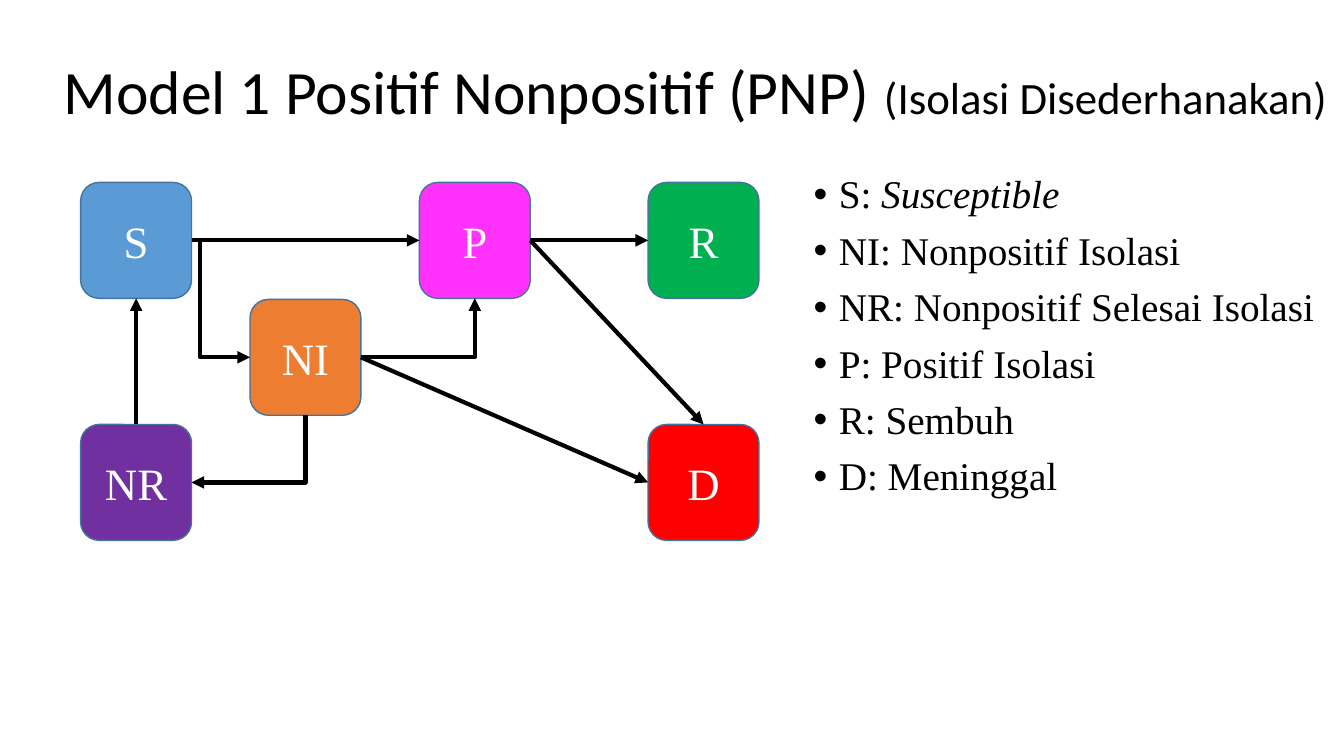
from dataclasses import dataclass

from lxml import etree
from pptx import Presentation
from pptx import util as u
from pptx.dml.color import RGBColor
from pptx.enum import shapes, text
from pptx.oxml import ns

TOP, LEFT, BOTTOM, RIGHT = range(4)
SLIDE_WIDTH, SLIDE_HEIGHT = u.Inches(13.33), u.Inches(7.5)


@dataclass(frozen=True)
class Theme:
    title_font: str = "Calibri"
    body_font: str = "Times New Roman"
    title_size: int = 44
    subtitle_size: int = 32
    state_size: int = 32
    legend_size: int = 28
    ink: str = "000000"
    state_ink: str = "FFFFFF"
    outline: str = "43739E"
    outline_width: float = 1
    arrow_width: float = 3


@dataclass(frozen=True)
class Grid:
    left: float = 0.8
    top: float = 1.81
    column: float = 1.68
    row: float = 1.16
    box_width: float = 1.1
    box_height: float = 1.15


@dataclass(frozen=True)
class State:
    name: str
    column: float
    row: float
    fill: str


@dataclass(frozen=True)
class Flow:
    source: str
    source_side: int
    target: str
    target_side: int
    bend: str = ""


@dataclass(frozen=True)
class Entry:
    name: str
    meaning: str
    italic: bool = False


THEME = Theme()
GRID = Grid()

STATES = (
    State("S", 0, 0, "5B9BD5"),
    State("P", 2, 0, "FF31FA"),
    State("NI", 1, 1, "ED7D31"),
    State("NR", 0, 2.07, "7030A0"),
    State("R", 3.35, 0, "00B050"),
    State("D", 3.35, 2.07, "FF0000"),
)
FLOWS = (
    Flow("S", RIGHT, "P", LEFT),
    Flow("NR", TOP, "S", BOTTOM),
    Flow("P", RIGHT, "R", LEFT),
    Flow("NI", BOTTOM, "NR", RIGHT, "down"),
    Flow("S", RIGHT, "NI", LEFT, "step"),
    Flow("NI", RIGHT, "P", BOTTOM, "across"),
    Flow("P", RIGHT, "D", TOP),
    Flow("NI", RIGHT, "D", LEFT),
)
LEGEND = (
    Entry("S", "Susceptible", True),
    Entry("NI", "Nonpositif Isolasi"),
    Entry("NR", "Nonpositif Selesai Isolasi"),
    Entry("P", "Positif Isolasi"),
    Entry("R", "Sembuh"),
    Entry("D", "Meninggal"),
)


def place(shape, left: float, top: float, width: float, height: float) -> None:
    shape.left, shape.width = (round(SLIDE_WIDTH * share) for share in (left, width))
    shape.top, shape.height = (round(SLIDE_HEIGHT * share) for share in (top, height))


def style(font, name: str, color: str, size: float | None = None) -> None:
    font.name = name
    font.color.rgb = RGBColor.from_string(color)
    if size:
        font.size = u.Pt(size)


def write_title(slide) -> None:
    title = slide.shapes.title
    place(title, 0.04, 0.028, 0.96, 0.193)
    frame = title.text_frame
    frame.auto_size = text.MSO_AUTO_SIZE.NONE
    frame.vertical_anchor = text.MSO_ANCHOR.MIDDLE
    para = frame.paragraphs[0]
    para.alignment = text.PP_ALIGN.LEFT
    para.line_spacing = 0.9
    style(para.font, THEME.title_font, THEME.ink)
    for words, size in (
        ("Model 1 Positif Nonpositif (PNP) ", THEME.title_size),
        ("(Isolasi Disederhanakan)", THEME.subtitle_size),
    ):
        span = para.add_run()
        span.text = words
        span.font.size = u.Pt(size)


def write_legend(slide) -> None:
    box = slide.shapes.add_textbox(0, 0, 0, 0)
    place(box, 0.598, 0.225, 0.396, 0.519)
    frame = box.text_frame
    frame.word_wrap = True
    for index, entry in enumerate(LEGEND):
        para = frame.add_paragraph() if index else frame.paragraphs[0]
        para.line_spacing = 0.9
        para.space_before = u.Pt(10 if index else 0)
        layout = para._p.get_or_add_pPr()
        layout.set("marL", str(u.Inches(0.25)))
        layout.set("indent", str(-u.Inches(0.25)))
        etree.SubElement(layout, ns.qn("a:buFont"), typeface="Arial")
        etree.SubElement(layout, ns.qn("a:buChar"), char="•")
        style(para.font, THEME.body_font, THEME.ink, THEME.legend_size)
        para.add_run().text = f"{entry.name}: "
        span = para.add_run()
        span.text = entry.meaning
        if entry.italic:
            span.font.italic = True


def draw_state(slide, state: State):
    box = slide.shapes.add_shape(
        shapes.MSO_SHAPE.ROUNDED_RECTANGLE,
        u.Inches(GRID.left + state.column * GRID.column),
        u.Inches(GRID.top + state.row * GRID.row),
        u.Inches(GRID.box_width),
        u.Inches(GRID.box_height),
    )
    box.shadow.inherit = False
    box.fill.solid()
    box.fill.fore_color.rgb = RGBColor.from_string(state.fill)
    box.line.color.rgb = RGBColor.from_string(THEME.outline)
    box.line.width = u.Pt(THEME.outline_width)
    box.text_frame.vertical_anchor = text.MSO_ANCHOR.MIDDLE
    para = box.text_frame.paragraphs[0]
    para.alignment = text.PP_ALIGN.CENTER
    style(para.font, THEME.body_font, THEME.state_ink, THEME.state_size)
    para.add_run().text = state.name
    return box


def bend_arrow(arrow, bend: str) -> None:
    geometry = arrow._element.spPr.find(ns.qn("a:prstGeom"))
    if bend == "step":
        guides = geometry.find(ns.qn("a:avLst"))
        etree.SubElement(guides, ns.qn("a:gd"), name="adj1", fmla="val 14200")
        return
    geometry.set("prst", "bentConnector2")
    if bend == "down":
        width, height = arrow.width, arrow.height
        arrow.left += (width - height) // 2
        arrow.top += (height - width) // 2
        arrow.width, arrow.height = height, width
        frame = arrow._element.spPr.find(ns.qn("a:xfrm"))
        frame.attrib.pop("flipH", None)
        frame.set("rot", str(90 * 60000))


def draw_flow(slide, flow: Flow, boxes: dict) -> None:
    kind = shapes.MSO_CONNECTOR.ELBOW if flow.bend else shapes.MSO_CONNECTOR.STRAIGHT
    arrow = slide.shapes.add_connector(kind, 0, 0, 0, 0)
    arrow.begin_connect(boxes[flow.source], flow.source_side)
    arrow.end_connect(boxes[flow.target], flow.target_side)
    arrow.line.color.rgb = RGBColor.from_string(THEME.ink)
    arrow.line.width = u.Pt(THEME.arrow_width)
    properties = arrow._element.spPr
    etree.SubElement(properties.find(ns.qn("a:ln")), ns.qn("a:tailEnd"), type="triangle")
    etree.SubElement(properties, ns.qn("a:effectLst"))
    if flow.bend:
        bend_arrow(arrow, flow.bend)


def main() -> None:
    deck = Presentation()
    deck.slide_width, deck.slide_height = SLIDE_WIDTH, SLIDE_HEIGHT
    page = deck.slides.add_slide(deck.slide_layouts[5])
    write_title(page)
    write_legend(page)
    boxes = {state.name: draw_state(page, state) for state in STATES}
    for flow in FLOWS:
        draw_flow(page, flow, boxes)
    deck.save("out.pptx")


if __name__ == "__main__":
    main()
